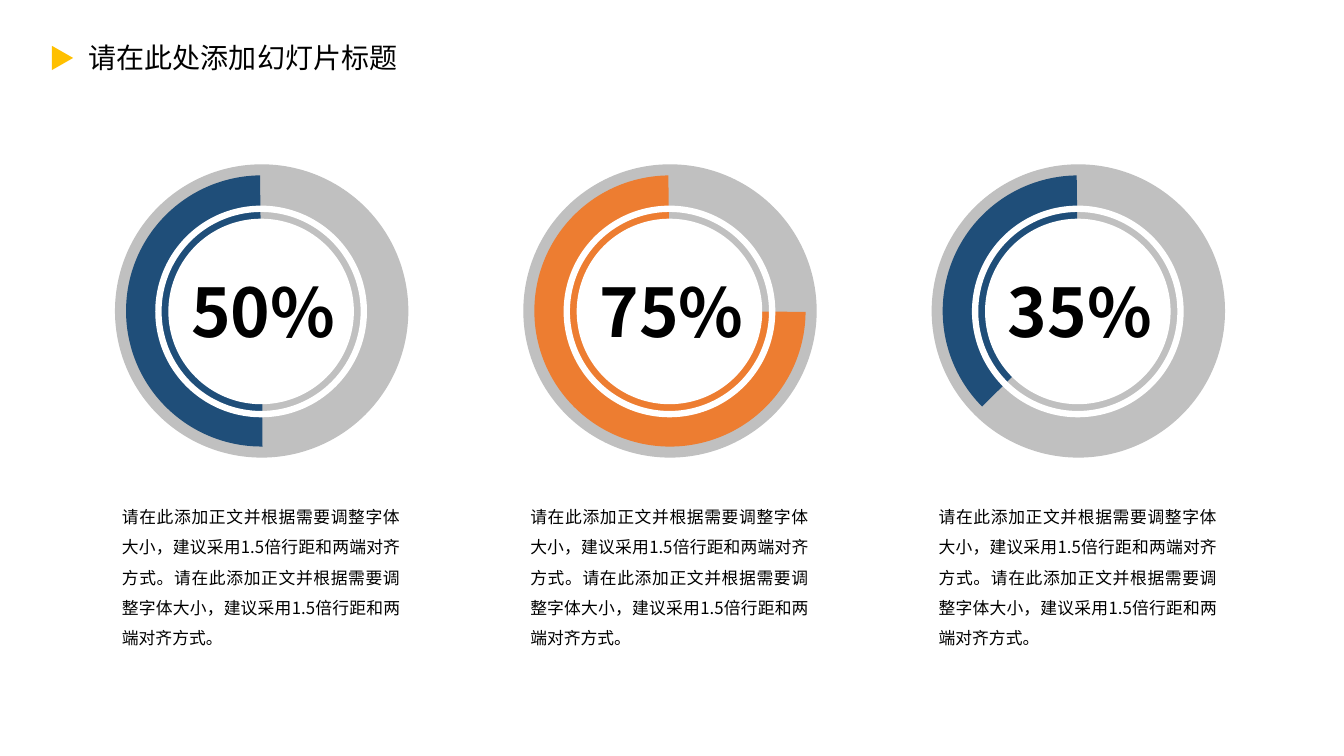
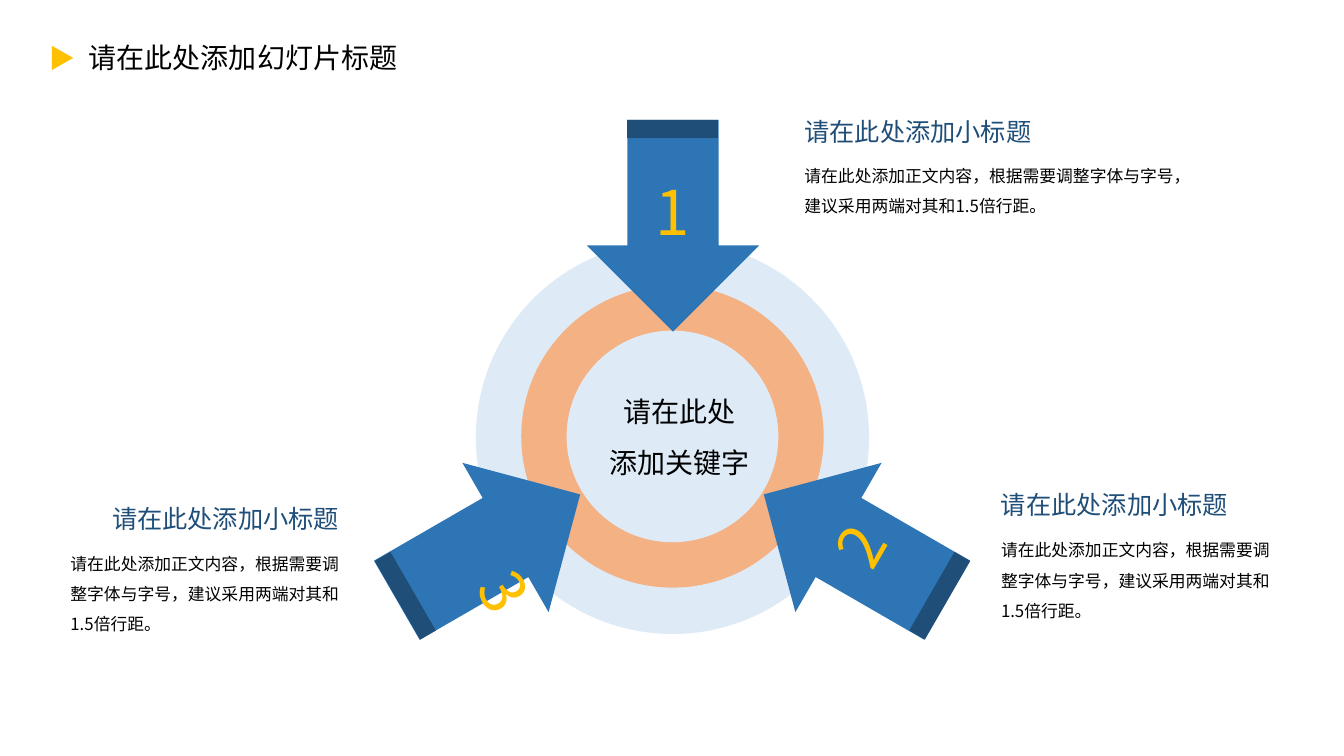
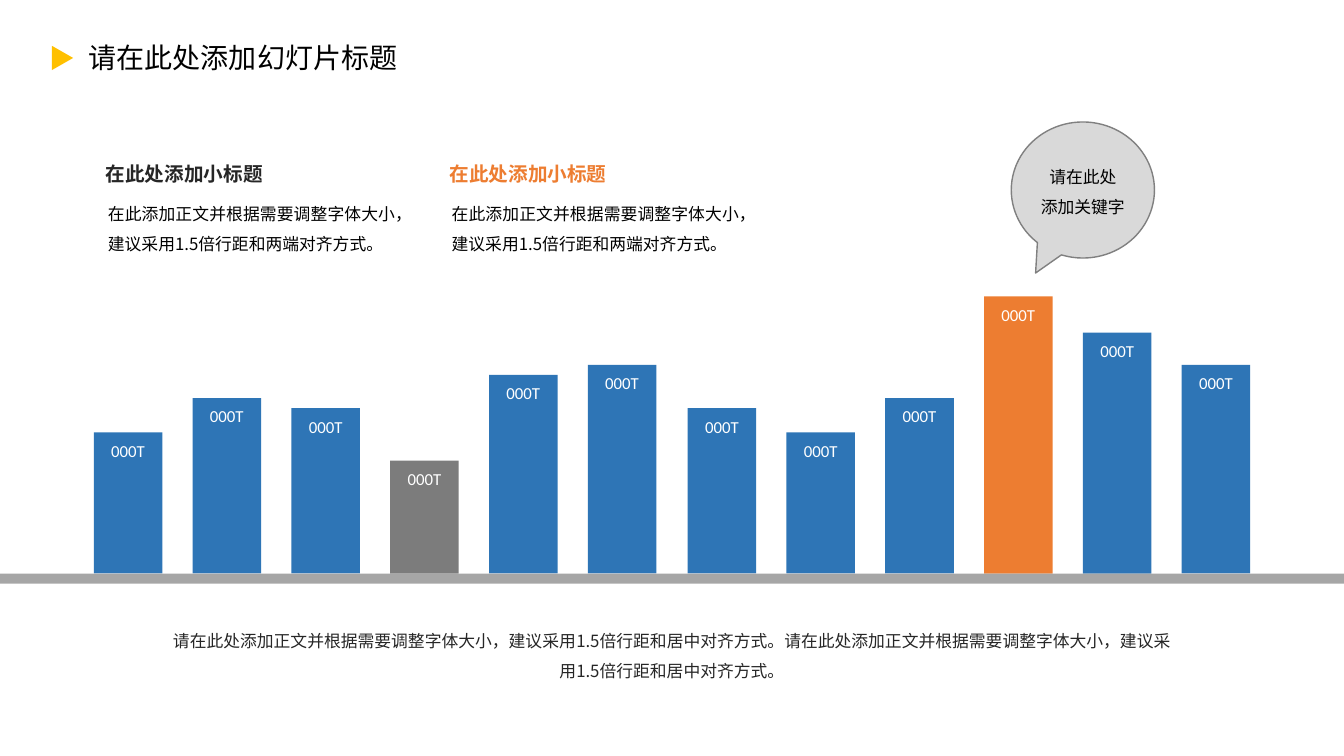
"""Build three template slides: ring gauges, converging arrows and a bar skyline."""
from lxml import etree
from pptx import Presentation
from pptx.dml.color import RGBColor
from pptx.enum.shapes import MSO_SHAPE
from pptx.enum.text import MSO_ANCHOR, MSO_AUTO_SIZE, PP_ALIGN
from pptx.oxml.ns import qn
from pptx.util import Emu, Pt

PX = 9144
LATIN, CJK = "Calibri", "Noto Sans CJK SC"
LEFT, CENTER, RIGHT, JUSTIFY = PP_ALIGN.LEFT, PP_ALIGN.CENTER, PP_ALIGN.RIGHT, PP_ALIGN.JUSTIFY
TOP, NO_FIT = MSO_ANCHOR.TOP, MSO_AUTO_SIZE.NONE
RECT, OVAL, ARC = MSO_SHAPE.RECTANGLE, MSO_SHAPE.OVAL, MSO_SHAPE.BLOCK_ARC
ARROW, TRIANGLE = MSO_SHAPE.DOWN_ARROW, MSO_SHAPE.ISOSCELES_TRIANGLE
CALLOUT, DONUT = MSO_SHAPE.OVAL_CALLOUT, MSO_SHAPE.DONUT
COLORS = {
    "black": "000000", "ink": "262626", "white": "FFFFFF", "navy": "1F4E79",
    "blue": "2E75B6", "pale": "DEEBF7", "orange": "ED7D31", "peach": "F4B183",
    "gold": "FFC000", "silver": "C0C0C0", "gray": "7C7C7C", "ground": "A6A6A6",
    "bubble": "D9D9D9", "outline": "808080",
}
RGB = {name: RGBColor.from_string(value) for name, value in COLORS.items()}


def draw(slide, box, kind=None, fill=None, turn=0, adjust=()):
    """Add a filled preset shape, or a text box when no kind is given."""
    place = [Emu(value * PX) for value in box]
    if kind is None:
        item = slide.shapes.add_textbox(*place)
    else:
        item = slide.shapes.add_shape(kind, *place)
        item.shadow.inherit = False
        item.fill.solid()
        item.fill.fore_color.rgb = RGB[fill]
        item.line.fill.background()
        for index, value in enumerate(adjust):
            item.adjustments[index] = value
    item.rotation = turn
    return item


def write(item, lines, size=12, color="black", font=CJK, bold=False, align=LEFT,
          spacing=1.0, wrap=True, sides=10, top=5):
    """Put formatted lines of text into a shape."""
    frame = item.text_frame
    layout = {"word_wrap": wrap, "auto_size": NO_FIT, "vertical_anchor": TOP,
              "margin_left": sides * PX, "margin_right": sides * PX,
              "margin_top": top * PX, "margin_bottom": 5 * PX}
    for key, value in layout.items():
        setattr(frame, key, value)
    for number, line in enumerate(lines):
        paragraph = frame.add_paragraph() if number else frame.paragraphs[0]
        paragraph.alignment, paragraph.line_spacing = align, spacing
        run = paragraph.add_run()
        run.text = line
        for key, value in {"size": Pt(size), "name": font, "bold": bold}.items():
            setattr(run.font, key, value)
        run.font.color.rgb = RGB[color]
        etree.SubElement(run.font._element, qn("a:ea"), typeface=CJK)


deck = Presentation()
deck.slide_width, deck.slide_height = Emu(1333 * PX), Emu(750 * PX)
title_only = deck.slide_layouts[5]
slides = [deck.slides.add_slide(title_only) for _ in range(3)]
for slide in slides:
    title = slide.shapes.title
    title.left, title.top, title.width, title.height = [Emu(v * PX) for v in (78, 35, 329, 44)]
    write(title, ["请在此处添加幻灯片标题"], size=20, font=LATIN, wrap=False)
    draw(slide, (50, 47, 24, 21), TRIANGLE, "gold", 90)
gauges, arrows, skyline = slides

advice = "请在此添加正文并根据需要调整字体大小，建议采用1.5倍行距和两端对齐方式。"
shares = [("50%", "navy", 53.78), ("75%", "orange", 0.23), ("35%", "navy", 81.11)]
for number, (share, color, start) in enumerate(shares):
    left = 114 + 405 * number
    draw(gauges, (left, 163, 291, 291), OVAL, "silver")
    draw(gauges, (left + 11, 174, 269, 269), ARC, color, adjust=(start, 161.59, 0.2))
    draw(gauges, (left + 40, 204, 210, 210), DONUT, "white", adjust=(0.03,))
    draw(gauges, (left + 53, 217, 184, 184), OVAL, "white")
    write(draw(gauges, (left + 64, 263, 166, 91)), [share], size=48, bold=True,
          align=CENTER, wrap=False)
    write(draw(gauges, (left + 7, 488, 276, 162)), [advice * 2], align=JUSTIFY,
          spacing=1.5, sides=0)

for box, color in [((472, 239, 390, 390), "pale"), ((517, 283, 300, 300), "peach"),
                   ((562, 328, 210, 210), "pale")]:
    draw(arrows, box, OVAL, color)
keyword = ["请在此处", "添加关键字"]
write(draw(arrows, (594, 370, 160, 111)), keyword, size=20, align=CENTER,
      spacing=1.5, wrap=False)
pointers = [
    ("1", 0, (582, 119), (622, 119), 0, (639, 168)),
    ("2", 120, (763, 438), (887, 582), 300, (825, 499)),
    ("3", 240, (399, 438), (357, 582), 60, (473, 545)),
]
for digit, turn, body, tail, digit_turn, spot in pointers:
    draw(arrows, (*body, 171, 210), ARROW, "blue", turn, (0.53, 0.5))
    draw(arrows, (*tail, 90, 18), RECT, "navy", turn)
    write(draw(arrows, (*spot, 56, 84), turn=digit_turn), [digit], size=44,
          color="gold", align=CENTER, wrap=False)
notes = [
    ((788, 110, 247, 40), (788, 149, 389, 71), LEFT),
    ((983, 481, 247, 40), (983, 521, 298, 101), LEFT),
    ((99, 494, 247, 40), (60, 534, 298, 101), RIGHT),
]
for heading_box, body_box, align in notes:
    write(draw(arrows, heading_box), ["请在此处添加小标题"], size=18, color="navy",
          font=LATIN, align=align, wrap=False)
    write(draw(arrows, body_box),
          ["请在此处添加正文内容，根据需要调整字体与字号，建议采用两端对其和1.5倍行距。"],
          spacing=1.5)

ground_y = 569
bar_heights = [140, 174, 164, 112, 197, 207, 164, 140, 174, 275, 239, 207]
accents = {3: "gray", 9: "orange"}
for number, height in enumerate(bar_heights):
    left = 93 + round(1079 * number / (len(bar_heights) - 1))
    bar = draw(skyline, (left, ground_y - height, 68, height), RECT,
               accents.get(number, "blue"))
    write(bar, ["000T"], color="white", font=LATIN, align=CENTER, sides=0, top=8)
draw(skyline, (0, ground_y, 1333, 10), RECT, "ground")
summary = "请在此处添加正文并根据需要调整字体大小，建议采用1.5倍行距和居中对齐方式。"
write(draw(skyline, (165, 611, 1003, 67)), [summary * 2], color="ink", align=CENTER,
      spacing=1.5, sides=0)
for left, color in [(95, "ink"), (436, "orange")]:
    write(draw(skyline, (left, 156, 313, 34)), ["在此处添加小标题"], size=14,
          color=color, bold=True)
    write(draw(skyline, (left + 12, 187, 302, 71)), [advice[1:]], align=JUSTIFY,
          spacing=1.5, sides=0)
bubble = draw(skyline, (1003, 121, 142, 135), CALLOUT, "bubble", adjust=(-0.33, 0.61))
bubble.line.color.rgb = RGB["outline"]
bubble.line.width = Pt(1)
write(draw(skyline, (1032, 150, 84, 71), RECT, "bubble"), keyword, align=CENTER,
      spacing=1.5, wrap=False, sides=0)

deck.save("out.pptx")
